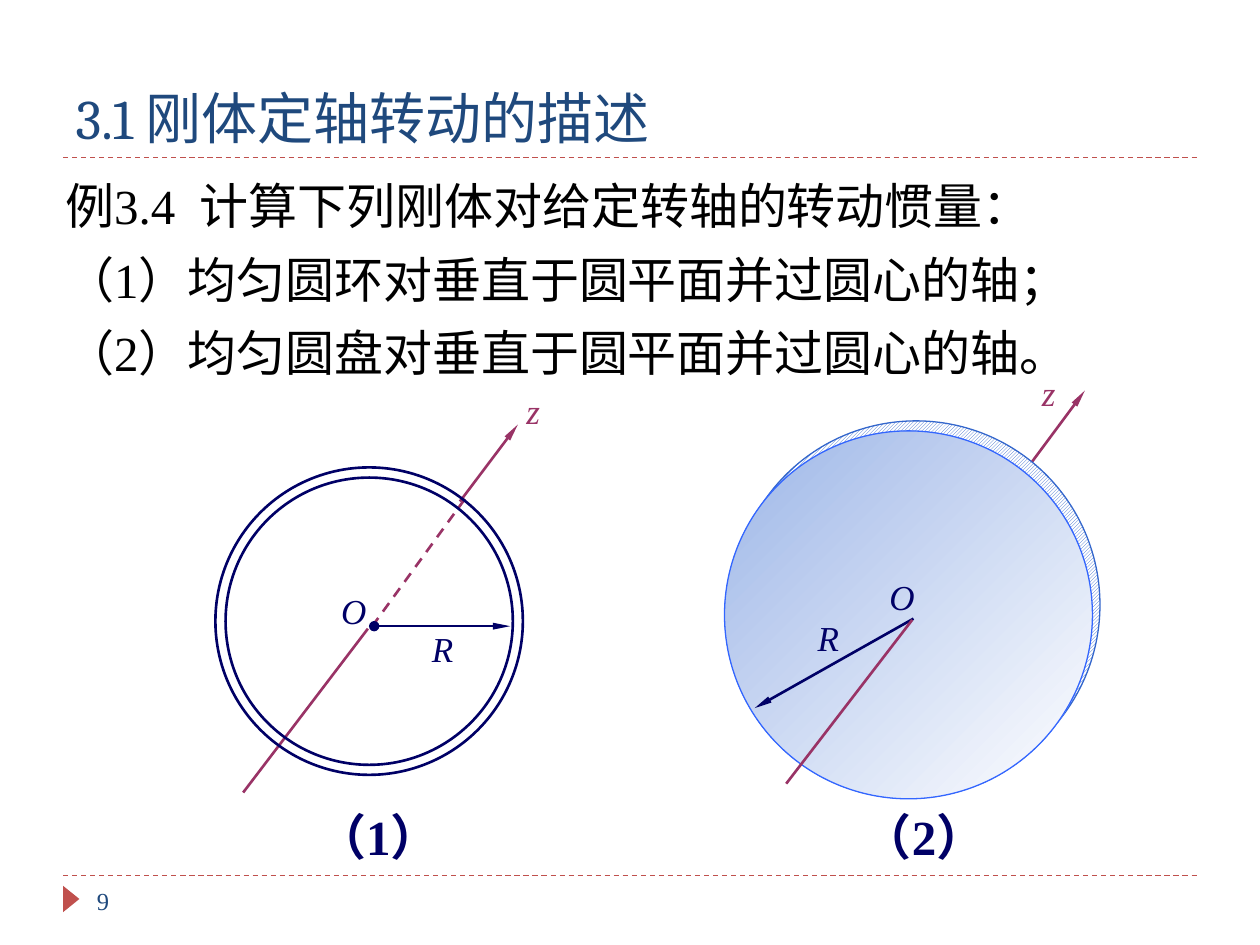
from dataclasses import dataclass

from lxml.etree import SubElement
from pptx import Presentation
from pptx.dml.color import RGBColor
from pptx.enum.dml import MSO_LINE, MSO_PATTERN
from pptx.enum.shapes import MSO_CONNECTOR, MSO_SHAPE
from pptx.enum.text import MSO_ANCHOR, MSO_AUTO_SIZE, PP_ALIGN
from pptx.oxml.ns import qn
from pptx.util import Emu, Pt

PX = 9144


@dataclass(frozen=True)
class Theme:
    """Colours, fonts and type sizes of the slide."""
    heading: str = "1F497D"
    accent: str = "C0504D"
    body: str = "000000"
    axis: str = "993366"
    navy: str = "000066"
    rim: str = "3366CC"
    disc_edge: str = "3366FF"
    disc: str = "9DB6E7"
    white: str = "FFFFFF"
    heading_font: str = "Cambria"
    body_font: str = "Times New Roman"
    title_size: int = 32
    body_size: int = 28
    label_size: int = 20
    number_size: int = 14
    thin: float = 0.75
    thick: float = 1.5


THEME = Theme()


def px(*lengths):
    """Turn px lengths into EMU."""
    return [Emu(length * PX) for length in lengths]


def rgb(colour):
    """Turn a hex colour into an RGBColor."""
    return RGBColor.from_string(colour)


def write(text_frame, lines, size, colour, font=THEME.body_font, bold=False,
          italic=False, spacing=None):
    """Fill a text frame with left-aligned lines in one format."""
    text_frame.text = "\n".join(lines)
    text_frame.auto_size = MSO_AUTO_SIZE.NONE
    for paragraph in text_frame.paragraphs:
        paragraph.alignment = PP_ALIGN.LEFT
        paragraph.line_spacing = spacing
        for run in paragraph.runs:
            run.font.name = font
            run.font.size = Pt(size)
            run.font.bold = bold
            run.font.italic = italic
            run.font.color.rgb = rgb(colour)


def add_title(slide, text):
    """Place and format the title placeholder."""
    title = slide.shapes.title
    title.left, title.top, title.width, title.height = px(50, 25, 900, 100)
    title.text_frame.vertical_anchor = MSO_ANCHOR.BOTTOM
    write(title.text_frame, [text], THEME.title_size, THEME.heading, THEME.heading_font)


def add_text(slide, box, lines, size, colour, anchor=MSO_ANCHOR.TOP, wrap=True, **style):
    """Add a text box."""
    text_frame = slide.shapes.add_textbox(*px(*box)).text_frame
    text_frame.word_wrap = wrap
    text_frame.vertical_anchor = anchor
    write(text_frame, lines, size, colour, **style)


def add_label(slide, left, top, text, colour=THEME.navy):
    """Add an italic one-letter label."""
    add_text(slide, (left, top, 40, 43), [text], THEME.label_size, colour,
             wrap=False, italic=True)


def add_line(slide, start, end, colour, width=THEME.thick, dashed=False,
             arrow=False, dot=False):
    """Add a straight line with optional dashes, start dot and arrowhead."""
    line = slide.shapes.add_connector(MSO_CONNECTOR.STRAIGHT, *px(*start, *end))
    line.line.color.rgb = rgb(colour)
    line.line.width = Pt(width)
    if dashed:
        line.line.dash_style = MSO_LINE.DASH
    outline = line.line._get_or_add_ln()
    if dot:
        SubElement(outline, qn("a:headEnd"), type="oval", w="med", len="med")
    if arrow:
        SubElement(outline, qn("a:tailEnd"), type="triangle", w="sm", len="lg")
    SubElement(line._element.spPr, qn("a:effectLst"))


def add_circle(slide, left, top, diameter, colour, width):
    """Add an unfilled circle and return it."""
    circle = slide.shapes.add_shape(MSO_SHAPE.OVAL, *px(left, top, diameter, diameter))
    circle.shadow.inherit = False
    circle.fill.background()
    circle.line.color.rgb = rgb(colour)
    circle.line.width = Pt(width)
    return circle


def add_frame(slide):
    """Add the dashed rules, the page marker and the page number."""
    for top in (695, 125):
        add_line(slide, (50, top), (950, top), THEME.accent, THEME.thin, dashed=True)
    marker = slide.shapes.add_shape(MSO_SHAPE.ISOSCELES_TRIANGLE, *px(46, 707, 21, 13))
    marker.rotation = 90
    marker.shadow.inherit = False
    marker.fill.solid()
    marker.fill.fore_color.rgb = rgb(THEME.accent)
    marker.line.fill.background()
    add_text(slide, (67, 695, 217, 40), ["9"], THEME.number_size, THEME.heading,
             anchor=MSO_ANCHOR.MIDDLE)


def add_ring(slide):
    """Draw the ring with its axis and radius."""
    add_line(slide, (365, 398), (411, 337), THEME.axis, arrow=True)
    add_line(slide, (193, 629), (292, 499), THEME.axis)
    add_label(slide, 408, 304, "z", THEME.axis)
    add_line(slide, (369, 396), (294, 499), THEME.axis, dashed=True)
    add_line(slide, (297, 497), (405, 497), THEME.navy, arrow=True, dot=True)
    add_label(slide, 333, 493, "R")
    add_label(slide, 261, 463, "O")
    for inset in (0, 8):
        add_circle(slide, 171 + inset, 371 + inset, 244 - 2 * inset, THEME.navy, THEME.thick)


def add_disc(slide):
    """Draw the disc with its hatched rim, axis and radius."""
    add_line(slide, (815, 372), (861, 310), THEME.axis, arrow=True)
    add_label(slide, 817, 290, "z", THEME.axis)
    rim = add_circle(slide, 581, 334, 292, THEME.rim, THEME.thin)
    rim.fill.patterned()
    rim.fill.pattern = MSO_PATTERN.LIGHT_UPWARD_DIAGONAL
    rim.fill.fore_color.rgb = rgb(THEME.rim)
    rim.fill.back_color.rgb = rgb(THEME.white)
    face = add_circle(slide, 575, 342, 292, THEME.disc_edge, THEME.thin)
    face.fill.gradient()
    face.fill.gradient_angle = 315
    for stop, colour in zip(face.fill.gradient_stops, (THEME.disc, THEME.white)):
        stop.color.rgb = rgb(colour)
    add_line(slide, (725, 491), (599, 562), THEME.navy, arrow=True)
    add_label(slide, 639, 484, "R")
    add_label(slide, 696, 452, "O")
    add_line(slide, (624, 622), (724, 492), THEME.axis)


def main():
    """Build and save the slide."""
    presentation = Presentation()
    presentation.slide_width, presentation.slide_height = px(1000, 750)
    slide = presentation.slides.add_slide(presentation.slide_layouts[5])
    add_frame(slide)
    add_title(slide, "3.1 刚体定轴转动的描述")
    add_text(slide, (42, 123, 914, 185), [
        "例3.4  计算下列刚体对给定转轴的转动惯量：",
        "（1）均匀圆环对垂直于圆平面并过圆心的轴；",
        "（2）均匀圆盘对垂直于圆平面并过圆心的轴。",
    ], THEME.body_size, THEME.body, anchor=MSO_ANCHOR.MIDDLE, spacing=1.25)
    for left, caption in ((675, "（2）"), (242, "（1）")):
        add_text(slide, (left, 635, 157, 57), [caption], THEME.body_size, THEME.navy, bold=True)
    add_ring(slide)
    add_disc(slide)
    presentation.save("out.pptx")


if __name__ == "__main__":
    main()
